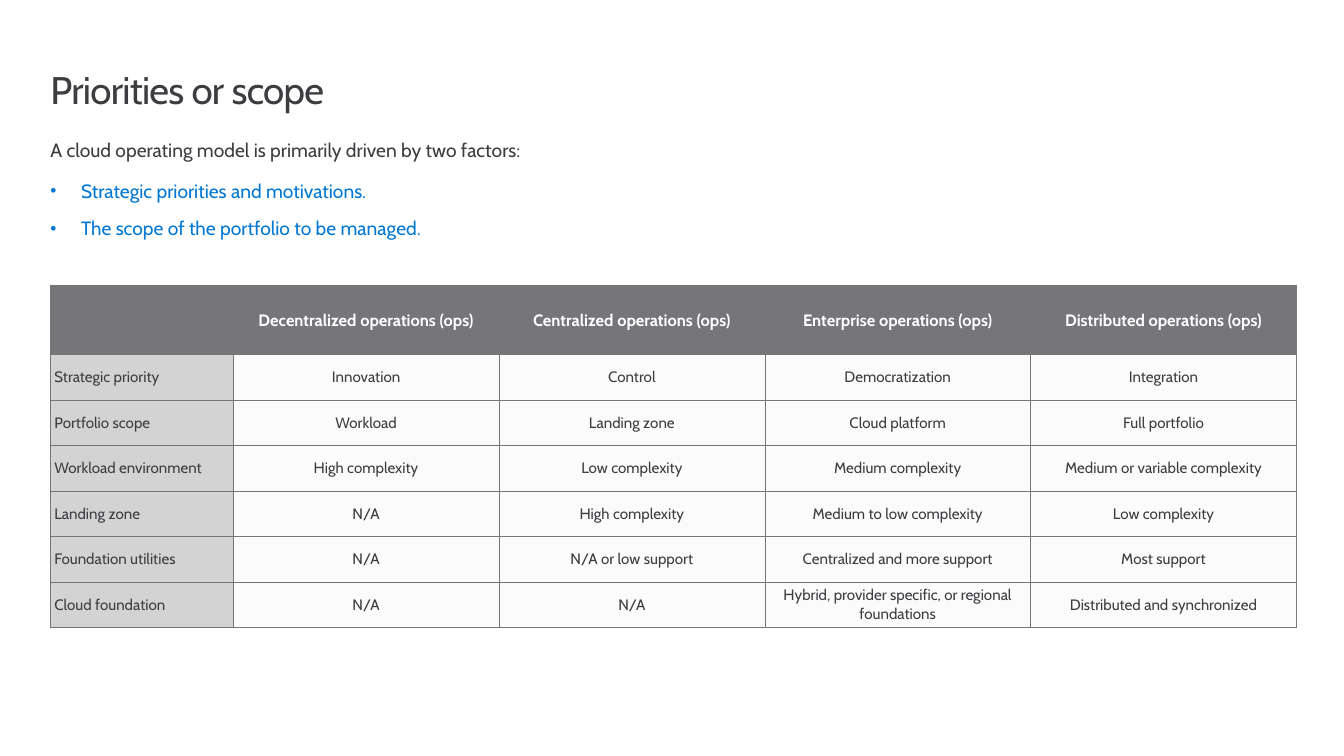
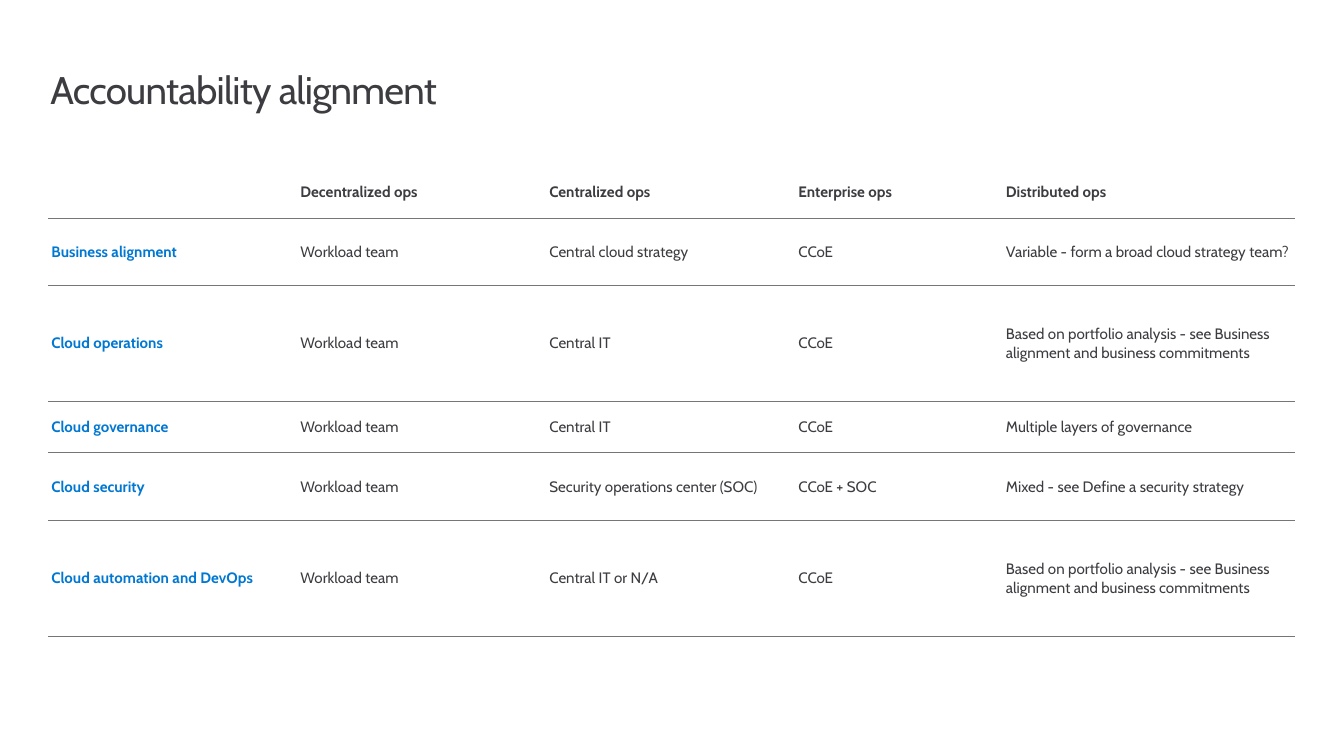
from dataclasses import dataclass
from typing import Optional, Sequence

from lxml.etree import SubElement
from pptx import Presentation
from pptx.dml.color import RGBColor
from pptx.enum.text import MSO_ANCHOR, MSO_AUTO_SIZE, PP_ALIGN
from pptx.oxml.ns import qn
from pptx.util import Inches, Pt


@dataclass(frozen=True)
class Theme:
    font: str = "Cabin"
    ink: str = "3C3C41"
    accent: str = "0078D3"
    white: str = "FFFFFF"
    header: str = "75757A"
    label: str = "D3D3D3"
    body: str = "FBFBFB"
    rule: str = "767676"
    title_size: int = 28
    text_size: int = 14
    header_size: int = 12
    cell_size: int = 11
    margin: float = 0.51


@dataclass(frozen=True)
class TextStyle:
    size: int
    color: str
    bold: bool = False
    spacing: int = 0  # hundredths of a point


@dataclass(frozen=True)
class CellStyle:
    text: TextStyle
    fill: Optional[str] = None
    align: PP_ALIGN = PP_ALIGN.LEFT


@dataclass(frozen=True)
class TableStyle:
    corner: CellStyle
    header: CellStyle
    label: CellStyle
    body: CellStyle
    borders: str  # sides of each cell: L, R, T, B
    border_width: float
    inset: float

    def cell(self, row: int, col: int) -> CellStyle:
        if row == 0:
            return self.header if col else self.corner
        return self.body if col else self.label


@dataclass(frozen=True)
class Grid:
    left: float
    top: float
    cols: Sequence[float]
    rows: Sequence[float]


T = Theme()
WIDTH, HEIGHT = 13.6, 7.65
NO_STYLE = "{2D5ABB26-0587-4C30-8999-92F81FD0307C}"

TITLE = TextStyle(T.title_size, T.ink, spacing=-50)
LEAD = TextStyle(T.text_size, T.ink)
BULLET = TextStyle(T.text_size, T.accent)
PLAIN = TextStyle(T.cell_size, T.ink)
STRONG = TextStyle(T.cell_size, T.ink, bold=True)
HEADING = TextStyle(T.header_size, T.white, bold=True)

BOXED = TableStyle(
    corner=CellStyle(HEADING, T.header),
    header=CellStyle(HEADING, T.header, PP_ALIGN.CENTER),
    label=CellStyle(PLAIN, T.label),
    body=CellStyle(PLAIN, T.body, PP_ALIGN.CENTER),
    borders="LRTB", border_width=0.5, inset=0.04)
RULED = TableStyle(
    corner=CellStyle(STRONG),
    header=CellStyle(STRONG),
    label=CellStyle(TextStyle(T.cell_size, T.accent, bold=True)),
    body=CellStyle(PLAIN),
    borders="B", border_width=1, inset=0.03)

PRIORITIES = [
    ["", "Decentralized operations (ops)", "Centralized operations (ops)",
     "Enterprise operations (ops)", "Distributed operations (ops)"],
    ["Strategic priority", "Innovation", "Control", "Democratization", "Integration"],
    ["Portfolio scope", "Workload", "Landing zone", "Cloud platform", "Full portfolio"],
    ["Workload environment", "High complexity", "Low complexity",
     "Medium complexity", "Medium or variable complexity"],
    ["Landing zone", "N/A", "High complexity", "Medium to low complexity", "Low complexity"],
    ["Foundation utilities", "N/A", "N/A or low support",
     "Centralized and more support", "Most support"],
    ["Cloud foundation", "N/A", "N/A",
     "Hybrid, provider specific, or regional foundations", "Distributed and synchronized"],
]

BY_PORTFOLIO = ("Based on portfolio analysis - see Business alignment "
                "and business commitments")
ACCOUNTABILITY = [
    ["", "Decentralized ops", "Centralized ops", "Enterprise ops", "Distributed ops"],
    ["Business alignment", "Workload team", "Central cloud strategy", "CCoE",
     "Variable - form a broad cloud strategy team?"],
    ["Cloud operations", "Workload team", "Central IT", "CCoE", BY_PORTFOLIO],
    ["Cloud governance", "Workload team", "Central IT", "CCoE",
     "Multiple layers of governance"],
    ["Cloud security", "Workload team", "Security operations center (SOC)",
     "CCoE + SOC", "Mixed - see Define a security strategy"],
    ["Cloud automation and DevOps", "Workload team", "Central IT or N/A", "CCoE",
     BY_PORTFOLIO],
]


def format_runs(p, style: TextStyle) -> None:
    for r in p.runs:
        r.font.name = T.font
        r.font.size = Pt(style.size)
        r.font.bold = style.bold
        r.font.color.rgb = RGBColor.from_string(style.color)
        if style.spacing:
            r.font._element.set("spc", str(style.spacing))


def add_bullet(p) -> None:
    indent = Inches(0.31)
    pPr = p._p.get_or_add_pPr()
    pPr.set("marL", str(indent))
    pPr.set("indent", str(-indent))
    SubElement(pPr, qn("a:buSzPct"), val="90000")
    SubElement(pPr, qn("a:buFont"), typeface="Arial")
    SubElement(pPr, qn("a:buChar"), char="•")


def add_text(s, top: float, width: float, height: float, lines: Sequence[str],
             style: TextStyle, leading: int, bullets: bool = False) -> None:
    box = s.shapes.add_textbox(Inches(T.margin), Inches(top), Inches(width), Inches(height))
    tf = box.text_frame
    tf.word_wrap = True
    tf.auto_size = MSO_AUTO_SIZE.SHAPE_TO_FIT_TEXT
    tf.margin_left = tf.margin_right = tf.margin_top = tf.margin_bottom = 0
    tf.text = "\n".join(lines)
    for i, p in enumerate(tf.paragraphs):
        if bullets:
            add_bullet(p)
        p.line_spacing = Pt(leading)
        if i:
            p.space_before = Pt(9)
        format_runs(p, style)


def add_border(cell, side: str, width: float) -> None:
    line = SubElement(cell._tc.get_or_add_tcPr(), qn(f"a:ln{side}"), w=str(Pt(width)))
    fill = SubElement(line, qn("a:solidFill"))
    SubElement(fill, qn("a:srgbClr"), val=T.rule)


def fill_cell(cell, text: str, style: CellStyle, table_style: TableStyle) -> None:
    cell.text = text
    cell.vertical_anchor = MSO_ANCHOR.MIDDLE
    cell.margin_left = cell.margin_right = Inches(table_style.inset)
    cell.margin_top = cell.margin_bottom = Inches(0.02)
    p = cell.text_frame.paragraphs[0]
    p.alignment = style.align
    format_runs(p, style.text)
    for side in table_style.borders:
        add_border(cell, side, table_style.border_width)
    if style.fill:
        cell.fill.solid()
        cell.fill.fore_color.rgb = RGBColor.from_string(style.fill)
    else:
        cell.fill.background()


def add_grid_table(s, grid: Grid, data: Sequence[Sequence[str]], style: TableStyle) -> None:
    table = s.shapes.add_table(
        len(grid.rows), len(grid.cols), Inches(grid.left), Inches(grid.top),
        Inches(sum(grid.cols)), Inches(sum(grid.rows))).table
    table.horz_banding = False
    table._tbl.tblPr.find(qn("a:tableStyleId")).text = NO_STYLE
    for column, width in zip(table.columns, grid.cols):
        column.width = Inches(width)
    for row, height in zip(table.rows, grid.rows):
        row.height = Inches(height)
    for i, texts in enumerate(data):
        for j, text in enumerate(texts):
            fill_cell(table.cell(i, j), text, style.cell(i, j), style)


def add_titled_slide(prs, title: str):
    s = prs.slides.add_slide(prs.slide_layouts[6])
    add_text(s, 0.69, 6.18, 0.45, [title], TITLE, leading=32)
    return s


def build_priorities(prs) -> None:
    s = add_titled_slide(prs, "Priorities or scope")
    add_text(s, 1.3, 5.38, 0.3,
             ["A cloud operating model is primarily driven by two factors:"],
             LEAD, leading=24)
    add_text(s, 1.8, 5.38, 0.61,
             ["Strategic priorities and motivations.",
              "The scope of the portfolio to be managed."],
             BULLET, leading=18, bullets=True)
    grid = Grid(T.margin, 2.89, [1.85] + [2.69] * 4, [0.7] + [0.46] * 6)
    add_grid_table(s, grid, PRIORITIES, BOXED)


def build_accountability(prs) -> None:
    s = add_titled_slide(prs, "Accountability alignment")
    grid = Grid(0.49, 1.68, [2.52] * 3 + [2.1, 2.95],
                [0.53, 0.68, 1.17, 0.52, 0.69, 1.17])
    add_grid_table(s, grid, ACCOUNTABILITY, RULED)


def main() -> None:
    prs = Presentation()
    prs.slide_width, prs.slide_height = Inches(WIDTH), Inches(HEIGHT)
    build_priorities(prs)
    build_accountability(prs)
    prs.save("out.pptx")


if __name__ == "__main__":
    main()
